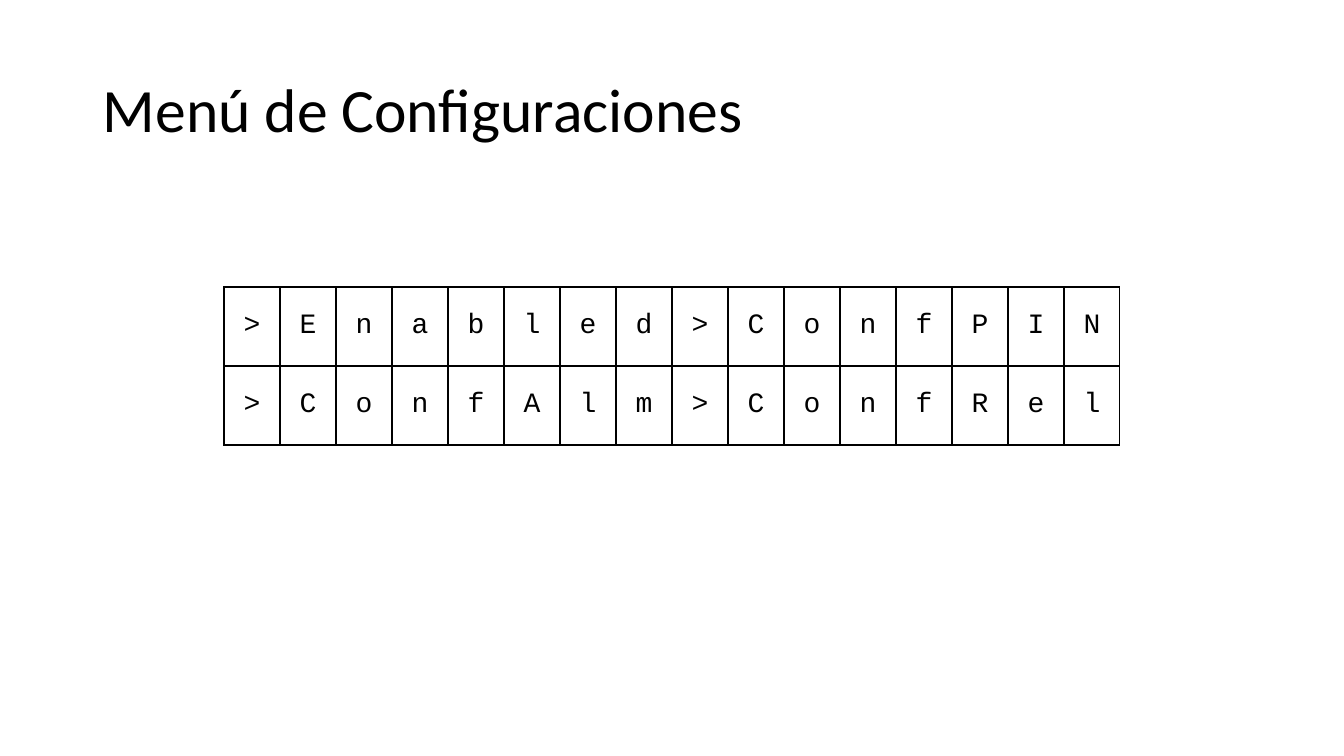
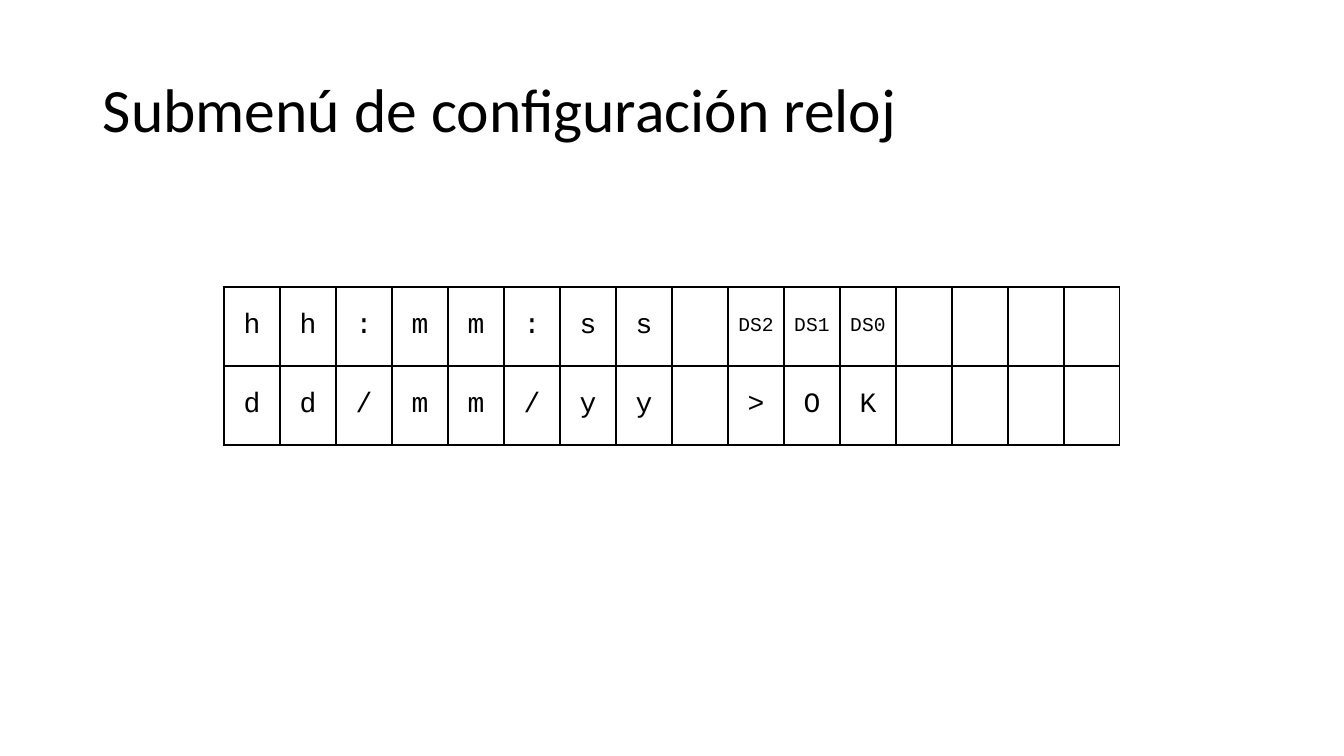
from lxml import etree
from pptx import Presentation
from pptx import util as u
from pptx.dml.color import RGBColor
from pptx.enum import text
from pptx.oxml import ns

BLACK = RGBColor(0x00, 0x00, 0x00)
WHITE = RGBColor(0xFF, 0xFF, 0xFF)
EMU_PER_PX = 914400 / 100.8
LCD_COLUMNS = 16


def px(length):
    return u.Emu(round(length * EMU_PER_PX))


class Deck:
    """Holds the shared style and the current slide."""

    title_font, title_size = "Calibri", 44
    lcd_font, lcd_size, bit_size = "Courier New", 20, 14
    cell_width, cell_height, cell_margin = 56, 79, 5
    border_width = 1

    def __init__(self):
        self.prs = Presentation()
        self.prs.slide_width, self.prs.slide_height = px(1344), px(756)
        self.slide = None

    def new_slide(self):
        self.slide = self.prs.slides.add_slide(self.prs.slide_layouts[6])
        background = self.slide.background.fill
        background.solid()
        background.fore_color.rgb = WHITE

    def styled_run(self, paragraph, words, font, size):
        run = paragraph.add_run()
        run.text = words
        run.font.name = font
        run.font.size = u.Pt(size)
        run.font.color.rgb = BLACK

    def title(self, words):
        frame = self.slide.shapes.add_textbox(px(93), px(40), px(1159), px(146)).text_frame
        frame.word_wrap = True
        frame.vertical_anchor = text.MSO_ANCHOR.MIDDLE
        heading = frame.paragraphs[0]
        heading.line_spacing = 0.9
        self.styled_run(heading, words, self.title_font, self.title_size)

    def border(self, cell):
        properties = cell._tc.get_or_add_tcPr()
        for side in ("a:lnL", "a:lnR", "a:lnT", "a:lnB"):
            line = etree.SubElement(properties, ns.qn(side), w=str(u.Pt(self.border_width)))
            fill = etree.SubElement(line, ns.qn("a:solidFill"))
            etree.SubElement(fill, ns.qn("a:srgbClr"), val=str(BLACK))

    def lcd_cell(self, cell, symbol):
        self.border(cell)
        cell.fill.background()
        cell.margin_left = cell.margin_right = px(self.cell_margin)
        cell.vertical_anchor = text.MSO_ANCHOR.MIDDLE
        paragraph = cell.text_frame.paragraphs[0]
        paragraph.alignment = text.PP_ALIGN.CENTER
        if symbol.strip():
            size = self.lcd_size if len(symbol) == 1 else self.bit_size
            self.styled_run(paragraph, symbol, self.lcd_font, size)

    def lcd(self, lines):
        """Draws the display; each line is a sequence of cell symbols."""
        display = self.slide.shapes.add_table(
            len(lines), LCD_COLUMNS, px(224), px(287),
            px(LCD_COLUMNS * self.cell_width), px(len(lines) * self.cell_height)).table
        display.first_row = display.horz_banding = False
        for column in display.columns:
            column.width = px(self.cell_width)
        for row, line in enumerate(lines):
            display.rows[row].height = px(self.cell_height)
            padding = [""] * (LCD_COLUMNS - len(line))
            for col, symbol in enumerate([*line, *padding]):
                self.lcd_cell(display.cell(row, col), symbol)


SCREENS = [
    ("Menú de Configuraciones", [">Enabled>ConfPIN", ">ConfAlm>ConfRel"]),
    ("Submenú de configuración reloj",
     [[*"hh:mm:ss ", "DS2", "DS1", "DS0"], "dd/mm/yy >OK"]),
]


def main():
    deck = Deck()
    for heading, lines in SCREENS:
        deck.new_slide()
        deck.lcd(lines)
        deck.title(heading)
    deck.prs.save("out.pptx")


if __name__ == "__main__":
    main()
